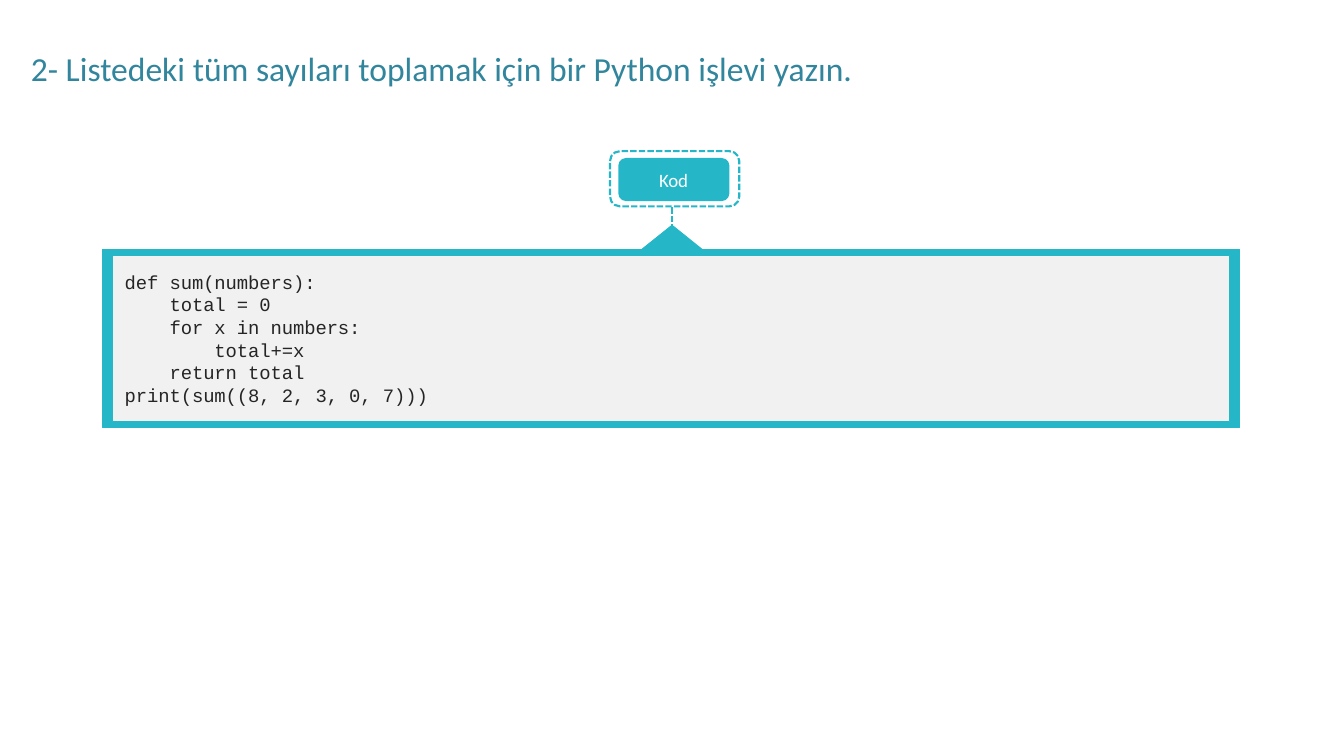
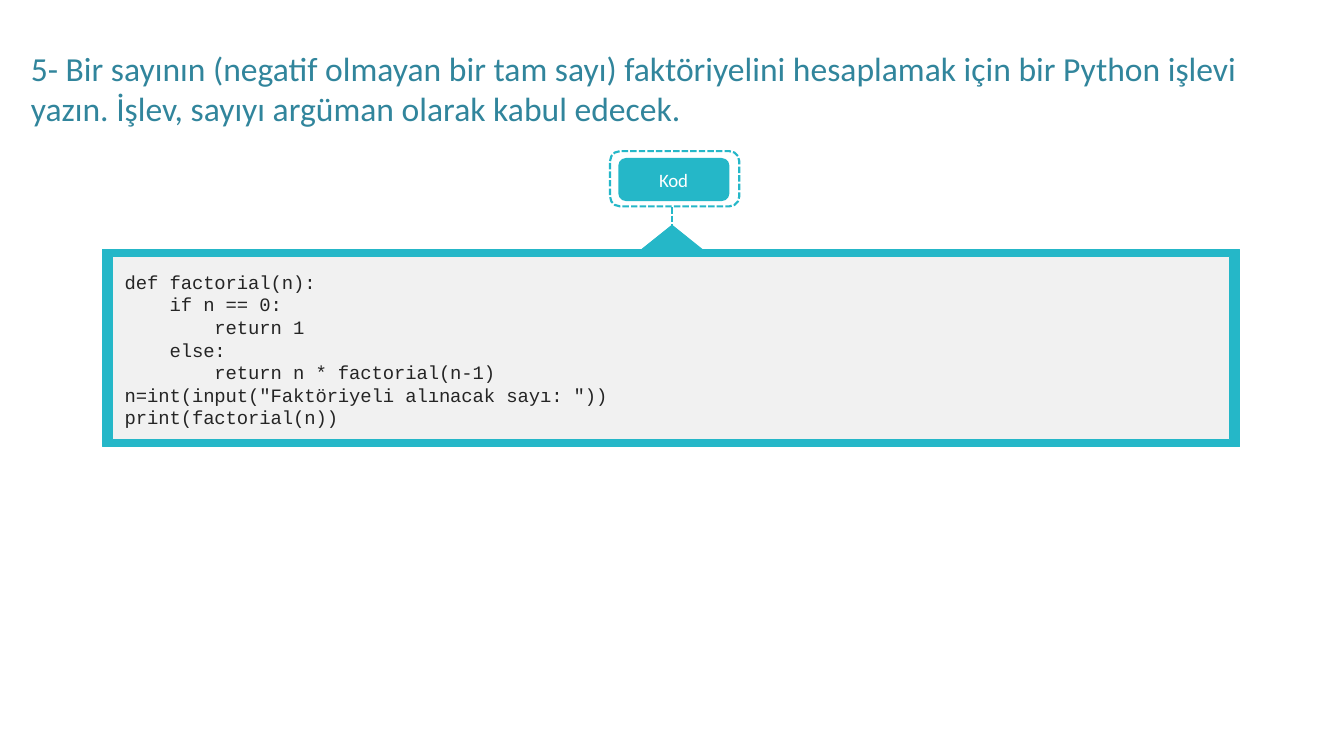
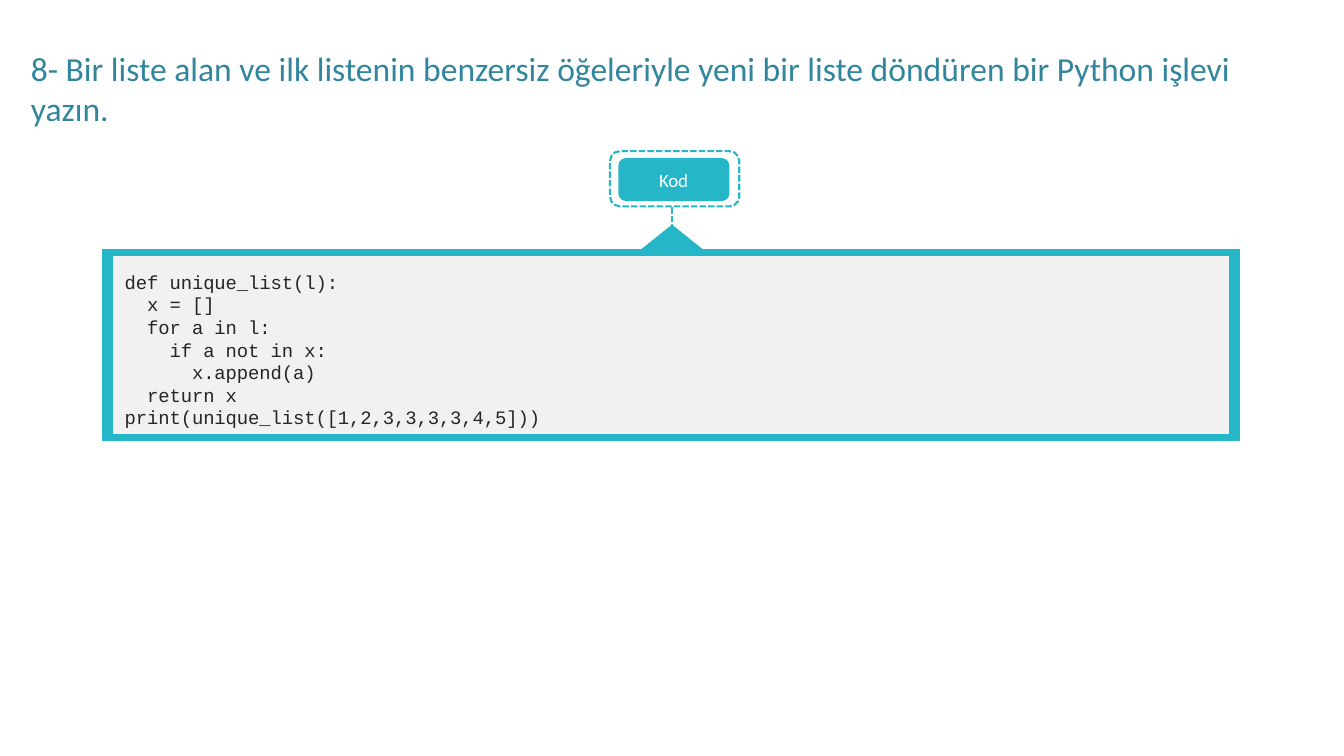
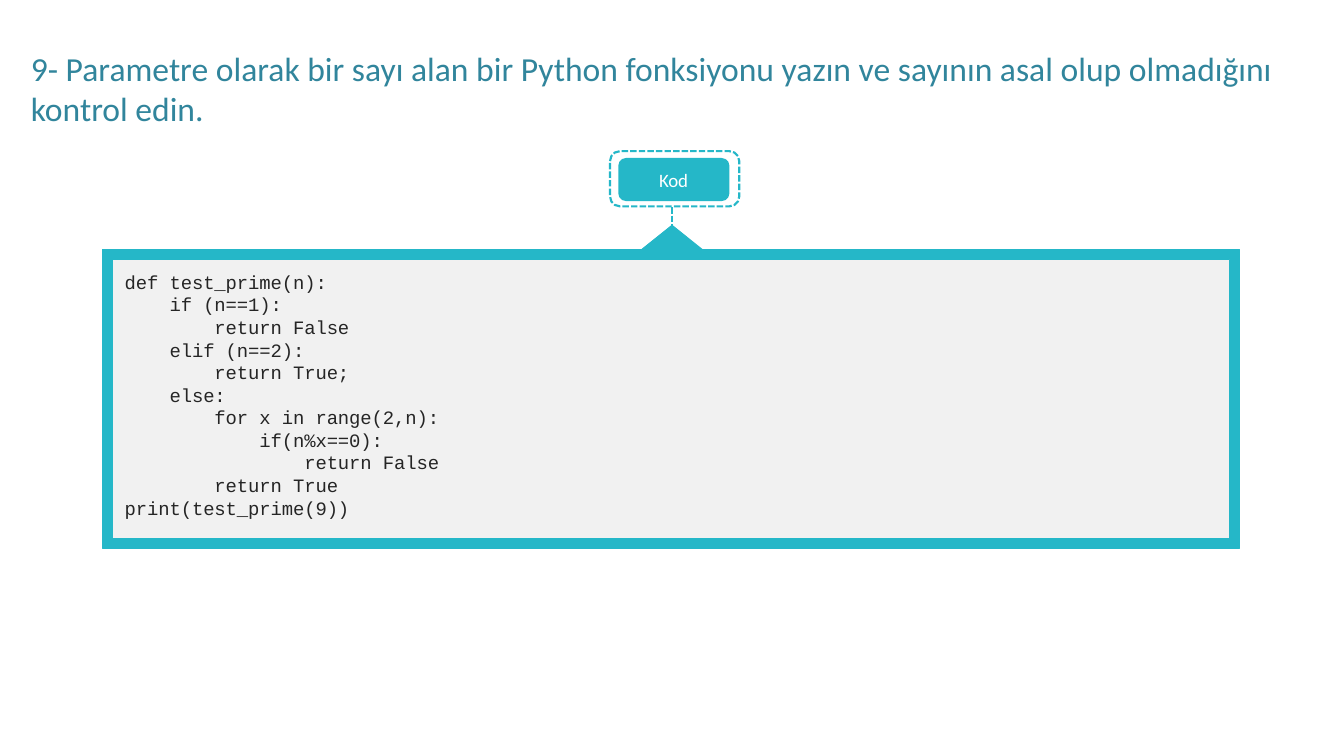
from pptx import Presentation
from pptx.dml.color import RGBColor
from pptx.enum.dml import MSO_LINE
from pptx.enum.shapes import MSO_CONNECTOR, MSO_SHAPE
from pptx.enum.text import MSO_AUTO_SIZE
from pptx.oxml.ns import qn
from pptx.util import Inches, Pt
from lxml.etree import SubElement

TEAL, TITLE_BLUE, PANEL_GREY, CODE_INK, WHITE = "25B7C8", "31859C", "F1F1F1", "252525", "FFFFFF"
CENTRE_X = 8.89
FRAME_LEFT, FRAME_TOP, FRAME_WIDTH = 1.36, 3.3, 15.04
SIDE_BORDER = 0.13
LINE_STEP = 0.303

EXERCISES = [
    ("2- Listedeki tüm sayıları toplamak için bir Python işlevi yazın.",
     2.36, 0.08,
     """def sum(numbers):
    total = 0
    for x in numbers:
        total+=x
    return total
print(sum((8, 2, 3, 0, 7)))"""),
    ("5- Bir sayının (negatif olmayan bir tam sayı) faktöriyelini hesaplamak için bir Python işlevi "
     "yazın. İşlev, sayıyı argüman olarak kabul edecek.",
     2.61, 0.09,
     """def factorial(n):
    if n == 0:
        return 1
    else:
        return n * factorial(n-1)
n=int(input("Faktöriyeli alınacak sayı: "))
print(factorial(n))"""),
    ("8- Bir liste alan ve ilk listenin benzersiz öğeleriyle yeni bir liste döndüren bir Python işlevi yazın.",
     2.53, 0.08,
     """def unique_list(l):
  x = []
  for a in l:
    if a not in x:
      x.append(a)
  return x
print(unique_list([1,2,3,3,3,3,4,5]))"""),
    ("9- Parametre olarak bir sayı alan bir Python fonksiyonu yazın ve sayının asal olup olmadığını kontrol edin.",
     3.95, 0.13,
     """def test_prime(n):
    if (n==1):
        return False
    elif (n==2):
        return True;
    else:
        for x in range(2,n):
            if(n%x==0):
                return False
        return True
print(test_prime(9))"""),
]


def colour(code):
    return RGBColor.from_string(code)


def style_line(line, width, dashed=False):
    line.color.rgb = colour(TEAL)
    line.width = Pt(width)
    if dashed:
        line.dash_style = MSO_LINE.SQUARE_DOT


def add_block(page, kind, left, top, width, height, fill=None, line=None, dashed=False, corner=None):
    block = page.shapes.add_shape(kind, Inches(left), Inches(top), Inches(width), Inches(height))
    block.shadow.inherit = False
    if corner is not None:
        block.adjustments[0] = corner
    if fill:
        block.fill.solid()
        block.fill.fore_color.rgb = colour(fill)
    else:
        block.fill.background()
    if line:
        style_line(block.line, line, dashed)
    else:
        block.line.fill.background()


def add_text(page, left, top, width, height, lines, font, size, ink, spacing=None, wrap=True):
    box = page.shapes.add_textbox(Inches(left), Inches(top), Inches(width), Inches(height))
    frame = box.text_frame
    frame.word_wrap = wrap
    frame.auto_size = MSO_AUTO_SIZE.SHAPE_TO_FIT_TEXT
    for index, line in enumerate(lines):
        para = frame.paragraphs[0] if index == 0 else frame.add_paragraph()
        span = para.add_run()
        span.text = line
        if spacing is not None:
            span.font._element.set("spc", str(int(spacing * 100)))
        para.font.name = font
        para.font.size = Pt(size)
        para.font.color.rgb = colour(ink)
    return frame


def add_badge(page):
    add_block(page, MSO_SHAPE.ROUNDED_RECTANGLE, 8.07, 2, 1.71, 0.73, line=2.04, dashed=True, corner=0.18)
    add_block(page, MSO_SHAPE.ROUNDED_RECTANGLE, 8.18, 2.09, 1.47, 0.57, fill=TEAL, corner=0.18)
    stem = page.shapes.add_connector(
        MSO_CONNECTOR.STRAIGHT, Inches(CENTRE_X), Inches(2.74), Inches(CENTRE_X), Inches(2.99))
    style_line(stem.line, 2.04, dashed=True)
    SubElement(stem._element.spPr, qn("a:effectLst"))
    add_block(page, MSO_SHAPE.ISOSCELES_TRIANGLE, CENTRE_X - 0.4, 2.98, 0.8, 0.32, fill=TEAL, line=0.96)


def add_code_panel(page, height, border, code):
    add_block(page, MSO_SHAPE.RECTANGLE, FRAME_LEFT, FRAME_TOP, FRAME_WIDTH, height, fill=TEAL, line=0.96)
    add_block(page, MSO_SHAPE.RECTANGLE, FRAME_LEFT + SIDE_BORDER, FRAME_TOP + border,
              FRAME_WIDTH - 2 * SIDE_BORDER, height - 2 * border, fill=PANEL_GREY, line=0.96)
    lines = code.split("\n")
    frame = add_text(page, 0.72, 3.41, 15.83, 0.17 + LINE_STEP * len(lines),
                     lines, "Courier New", 18, CODE_INK, spacing=-0.1)
    frame.margin_left, frame.margin_top = Inches(0.93), Inches(0.17)
    frame.margin_right = frame.margin_bottom = 0
    for para in frame.paragraphs:
        para.line_spacing = Pt(21.5)


def add_exercise(deck, title, height, border, code):
    page = deck.slides.add_slide(deck.slide_layouts[6])
    add_badge(page)
    add_code_panel(page, height, border, code)
    add_text(page, 8.62, 2.18, 0.59, 0.4, ["Kod"], "Calibri", 18, WHITE, spacing=-0.1, wrap=False)
    title_height = 0.64 if len(title) < 80 else 1.18
    add_text(page, 0.31, 0.58, 17, title_height, [title], "Calibri", 32, TITLE_BLUE)


def main():
    deck = Presentation()
    deck.slide_width, deck.slide_height = Inches(17.78), Inches(10)
    for exercise in EXERCISES:
        add_exercise(deck, *exercise)
    deck.save("out.pptx")


if __name__ == "__main__":
    main()
